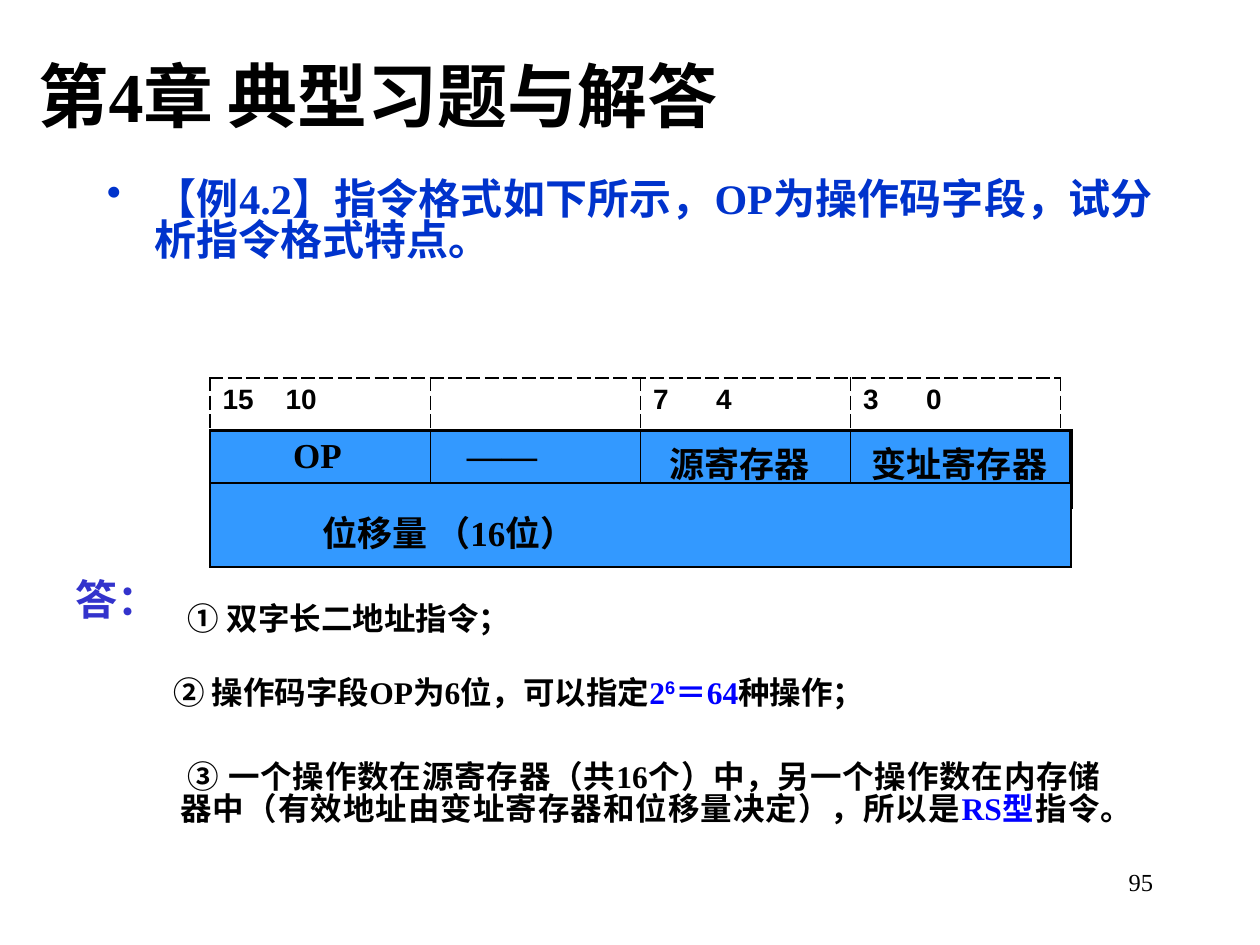
import pptx
import pptx.dml.color
import pptx.enum.text
import pptx.oxml
import pptx.oxml.ns
import pptx.util

ALIGN = pptx.enum.text.PP_ALIGN
ANCHOR = pptx.enum.text.MSO_ANCHOR
SERIF, SANS, CJK = "Times New Roman", "Arial", "Noto Sans CJK SC"
BLACK, BLUE, BRIGHT, INDIGO, FIELD = "000000", "0033CC", "0000FF", "3333CC", "3399FF"


def color(value):
    return pptx.dml.color.RGBColor.from_string(value)


def element(tag, **attributes):
    node = pptx.oxml.parse_xml(f"<a:{tag} {pptx.oxml.ns.nsdecls('a')}/>")
    for name, value in attributes.items():
        node.set(name, str(value))
    return node


class Sheet:
    columns, rows = 120, 90

    def __init__(self, deck):
        self.deck = deck
        self.page = deck.slides.add_slide(deck.slide_layouts[6])

    def place(self, left, top, width, height):
        across = self.deck.slide_width / self.columns
        down = self.deck.slide_height / self.rows
        return [int(left * across), int(top * down), int(width * across), int(height * down)]

    def fill_para(self, para, spans, size, fill=BLACK, font=SERIF, bold=True, align=ALIGN.LEFT,
                  spacing=None, margin=0, indent=0, bullet=None, tab=None, tab_align="l"):
        properties = para._p.get_or_add_pPr()
        properties.set("marL", str(pptx.util.Inches(margin)))
        properties.set("indent", str(pptx.util.Inches(indent)))
        if bullet:
            properties.append(element("buChar", char=bullet))
        if tab:
            stops = element("tabLst")
            stops.append(element("tab", pos=pptx.util.Inches(tab), algn=tab_align))
            properties.append(stops)
        para.alignment = align
        if spacing:
            para.line_spacing = spacing
        for text, change in spans:
            span = para.add_run()
            span.text = text
            span.font.size = pptx.util.Pt(size)
            span.font.bold = bold
            span.font.name = change.get("font", font)
            span.font.color.rgb = color(change.get("fill", fill))
            span_properties = span._r.get_or_add_rPr()
            span_properties.append(element("ea", typeface=CJK))
            if "raised" in change:
                span_properties.set("baseline", str(change["raised"] * 1000))

    def text(self, place, spans, size, anchor=ANCHOR.TOP, **style):
        box = self.page.shapes.add_textbox(*self.place(*place))
        box.text_frame.word_wrap = True
        box.text_frame.vertical_anchor = anchor
        self.fill_para(box.text_frame.paragraphs[0], spans, size, **style)

    def border(self, side, weight, dash):
        line = element("ln" + side, w=pptx.util.Pt(weight))
        paint = element("solidFill")
        paint.append(element("srgbClr", val=BLACK))
        line.append(paint)
        line.append(element("prstDash", val=dash))
        return line

    def table(self, left, top, widths, height, fields, size, fill=None, font=SERIF,
              weights=(1, 1, 1, 1), last_right=1, dash="solid"):
        place = self.place(left, top, sum(widths), height)
        grid = self.page.shapes.add_table(1, len(widths), *place).table
        grid.first_row = grid.horz_banding = False
        for index, (width, field) in enumerate(zip(widths, fields)):
            grid.columns[index].width = self.place(0, 0, width, 0)[2]
            cell = grid.cell(0, index)
            cell.margin_left = pptx.util.Inches(field.get("left", 0.1))
            cell.margin_top = pptx.util.Inches(field.get("top", 0.05))
            cell.margin_bottom = pptx.util.Inches(field.get("bottom", 0.05))
            if fill:
                cell.fill.solid()
                cell.fill.fore_color.rgb = color(fill)
            else:
                cell.fill.background()
            edges = list(weights)
            if index == len(widths) - 1:
                edges[1] = last_right
            properties = cell._tc.get_or_add_tcPr()
            for position, (side, weight) in enumerate(zip("LRTB", edges)):
                properties.insert(position, self.border(side, weight, dash))
            self.fill_para(cell.text_frame.paragraphs[0], field.get("spans", []), size,
                           font=font, tab=field.get("tab"), tab_align="r")


def main():
    deck = pptx.Presentation()
    deck.slide_width, deck.slide_height = pptx.util.Inches(10), pptx.util.Inches(7.5)
    sheet = Sheet(deck)
    cjk, bright = {"font": CJK}, {"fill": BRIGHT}

    sheet.text((9, 16.7, 102, 54),
               [("【例", cjk), ("4.2", {}), ("】指令格式如下所示，", cjk), ("OP", {}),
                ("为操作码字段，试分析指令格式特点。", cjk)],
               24, fill=BLUE, align=ALIGN.JUSTIFY, spacing=0.82,
               margin=0.38, indent=-0.38, bullet="•")

    sheet.table(20, 41, (21, 20, 20, 21), 7.3,
                [{"spans": [("OP", {})], "left": 0.66},
                 {"spans": [("——", {})], "left": 0.29},
                 {"spans": [("源寄存器", cjk)], "left": 0.23},
                 {"spans": [("变址寄存器", cjk)], "left": 0.17}],
                20, fill=FIELD, weights=(1, 1, 2.25, 2.25), last_right=2.25)
    sheet.table(20, 46, (82,), 8,
                [{"spans": [("位移量 （", cjk), ("16", {}), ("位）", cjk)],
                  "left": 0.89, "top": 0.18, "bottom": 0.08}],
                20, fill=FIELD)
    sheet.table(20, 36, (21, 20, 20, 20), 5,
                [{"spans": [("15\t10", {})], "tab": 1.47}, {},
                 {"spans": [("7\t4", {})], "tab": 1.35},
                 {"spans": [("3\t0", {})], "tab": 1.4}],
                16, font=SANS, dash="sysDash")

    sheet.text((6, 54, 120, 6.8), [("答：", {})], 24, fill=INDIGO)
    answer = {"size": 18, "spacing": 0.86}
    sheet.text((16, 57, 104, 5), [("① 双字长二地址指令；", {})], indent=0.06, **answer)
    sheet.text((14, 64, 94, 4.8),
               [("② 操作码字段OP为6位，可以指定", {}), ("2", bright),
                ("6", {"fill": BRIGHT, "font": SANS, "raised": 30}),
                ("＝64", bright), ("种操作；", {})],
               indent=0.11, **answer)
    sheet.text((16, 72, 90, 11.6),
               [("③ 一个操作数在源寄存器（共16个）中，另一个操作数在内存储器中"
                 "（有效地址由变址寄存器和位移量决定），所以是", {}),
                ("RS型", bright), ("指令。", {})],
               align=ALIGN.JUSTIFY, indent=0.06, **answer)

    sheet.text((2.5, 3, 105.2, 12), [("第4章\t典型习题与解答", {})], 40,
               anchor=ANCHOR.MIDDLE, tab=2.05)
    sheet.text((86, 82, 25, 6), [("95", {})], 14, bold=False, align=ALIGN.RIGHT)
    deck.save("out.pptx")


if __name__ == "__main__":
    main()
